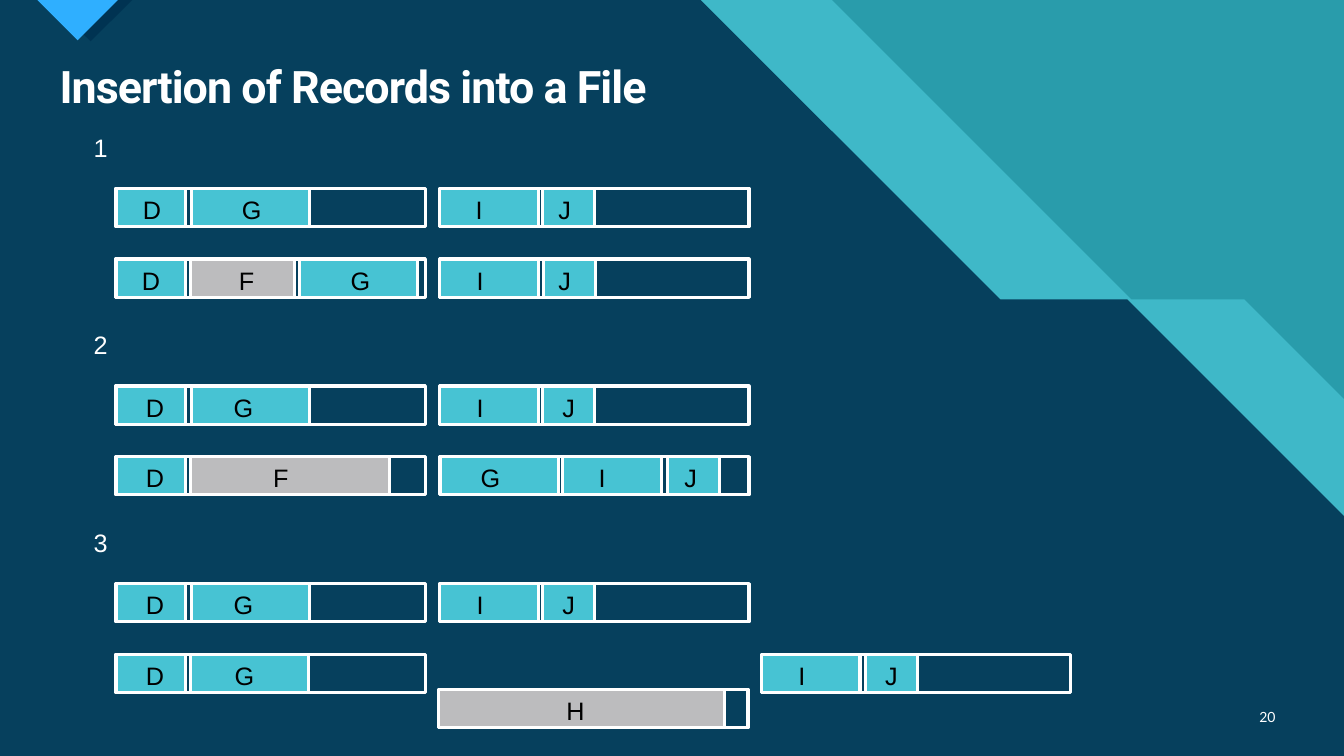
from dataclasses import dataclass
from typing import Any

from pptx import Presentation
from pptx.dml.color import RGBColor
from pptx.enum.shapes import MSO_SHAPE
from pptx.enum.text import MSO_ANCHOR, MSO_AUTO_SIZE, PP_ALIGN
from pptx.oxml.ns import qn
from pptx.util import Inches, Pt


@dataclass(frozen=True)
class Theme:
    teal: str = "299CAB"
    aqua: str = "47C3D3"
    navy: str = "003352"
    blue: str = "2FAFFF"
    grey: str = "BCBCBE"
    white: str = "FFFFFF"
    black: str = "000000"
    title_font: str = "Roboto"
    number_font: str = "Lato"
    body_font: str = "Arial"
    title_size: int = 32
    body_size: int = 18
    number_size: int = 10
    outline: float = 2.25


THEME = Theme()


@dataclass(frozen=True)
class Panel:
    points: list[tuple[float, float]]
    color: str
    opacity: int = 100


@dataclass(frozen=True)
class Record:
    letter: str
    left: float
    label_left: float
    width: float = 0  # 0 takes the usual width of the letter
    color: str = THEME.aqua


@dataclass(frozen=True)
class Block:
    left: float
    records: list[Record]
    drop: float = 0


@dataclass(frozen=True)
class Scenario:
    before: list[Block]
    after: list[Block]


# Measures in inches
WIDTHS = {"D": 0.69, "G": 1.17, "I": 0.98, "J": 0.52}
BLOCK_W, BLOCK_H, LABEL = 3.07, 0.38, 0.4
FIRST, SECOND, OVERFLOW, THIRD = 1.15, 4.36, 4.35, 7.55
CAPTION_LEFT, CAPTION_TOP = 0.83, 1.26
SCENARIO_STEP, BEFORE_DROP, AFTER_DROP = 1.96, 0.61, 1.31

PANELS = [
    Panel([(0, 0), (8.25, 0), (11.22, 2.97), (12.34, 2.97), (13.33, 3.96),
           (13.33, 7.5), (0, 7.5)], THEME.aqua, 74),
    Panel([(0, 0), (6.95, 0), (9.92, 2.97), (11.18, 2.97), (13.33, 5.12),
           (13.33, 7.5), (0, 7.5)], THEME.navy, 90),
    Panel([(0.48, 0), (1.31, 0), (0.9, 0.41)], THEME.navy),
    Panel([(0.37, 0), (1.17, 0), (0.77, 0.4)], THEME.blue),
]


def before_blocks(d: float, g: float, i: float, j: float) -> list[Block]:
    """Starting state of a scenario, given the left of each label."""
    return [Block(FIRST, [Record("D", FIRST, d), Record("G", 1.9, g)]),
            Block(SECOND, [Record("I", SECOND, i), Record("J", 5.38, j)])]


SCENARIOS = [
    Scenario(before_blocks(1.32, 2.3, 4.62, 5.44), [
        Block(FIRST, [Record("D", FIRST, 1.31),
                      Record("F", 1.89, 2.27, 1.03, THEME.grey),
                      Record("G", 2.97, 3.38)]),
        Block(SECOND, [Record("I", SECOND, 4.63), Record("J", 5.39, 5.44)]),
    ]),
    Scenario(before_blocks(1.35, 2.22, 4.63, 5.48), [
        Block(FIRST, [Record("D", FIRST, 1.35),
                      Record("F", 1.89, 2.61, 1.97, THEME.grey)]),
        Block(SECOND, [Record("G", 4.37, 4.67), Record("I", 5.58, 5.84),
                       Record("J", 6.62, 6.69)]),
    ]),
    Scenario(before_blocks(1.35, 2.22, 4.63, 5.48), [
        Block(FIRST, [Record("D", FIRST, 1.35), Record("G", 1.89, 2.23)]),
        Block(OVERFLOW, [Record("H", OVERFLOW, 5.52, 2.84, THEME.grey)], 0.35),
        Block(THIRD, [Record("I", THIRD, 7.82), Record("J", 8.58, 8.68)]),
    ]),
]


def rgb(color: str) -> RGBColor:
    return RGBColor.from_string(color)


def set_all(target: Any, values: dict[str, Any]) -> None:
    for name, value in values.items():
        setattr(target, name, value)


def write(tf: Any, text: str, size: int, font: str, color: str,
          align: PP_ALIGN = PP_ALIGN.LEFT, bold: bool = False) -> Any:
    p = tf.paragraphs[0]
    p.alignment = align
    r = p.add_run()
    r.text = text
    set_all(r.font, {"size": Pt(size), "name": font, "bold": bold})
    r.font.color.rgb = rgb(color)
    return r


def add_panel(s: Any, panel: Panel) -> None:
    points = [(Inches(x), Inches(y)) for x, y in panel.points]
    builder = s.shapes.build_freeform(*points[0])
    builder.add_line_segments(points[1:], close=True)
    sp = builder.convert_to_shape()
    sp.shadow.inherit = False
    sp.line.fill.background()
    sp.fill.solid()
    sp.fill.fore_color.rgb = rgb(panel.color)
    if panel.opacity < 100:
        clr = sp._element.spPr.find(f"{qn('a:solidFill')}/{qn('a:srgbClr')}")
        alpha = clr.makeelement(qn("a:alpha"), {"val": str(panel.opacity * 1000)})
        clr.append(alpha)


def add_box(s: Any, left: float, top: float, width: float, color: str = "") -> None:
    sp = s.shapes.add_shape(MSO_SHAPE.RECTANGLE, Inches(left), Inches(top),
                            Inches(width), Inches(BLOCK_H))
    sp.shadow.inherit = False
    if color:
        sp.fill.solid()
        sp.fill.fore_color.rgb = rgb(color)
    else:
        sp.fill.background()
    sp.line.color.rgb = rgb(THEME.white)
    sp.line.width = Pt(THEME.outline)


def add_label(s: Any, text: str, left: float, top: float, color: str) -> None:
    tf = s.shapes.add_textbox(Inches(left), Inches(top),
                              Inches(LABEL), Inches(LABEL)).text_frame
    set_all(tf, {"word_wrap": True, "auto_size": MSO_AUTO_SIZE.SHAPE_TO_FIT_TEXT})
    write(tf, text, THEME.body_size, THEME.body_font, color)


def add_block(s: Any, block: Block, row_top: float) -> None:
    top = row_top + block.drop
    add_box(s, block.left, top, BLOCK_W)
    for rec in block.records:
        add_box(s, rec.left, top, rec.width or WIDTHS[rec.letter], rec.color)
    for rec in block.records:
        add_label(s, rec.letter, rec.label_left, top + 0.01, THEME.black)


def main() -> None:
    prs = Presentation()
    set_all(prs, {"slide_width": Inches(13.33), "slide_height": Inches(7.5)})
    s = prs.slides.add_slide(prs.slide_layouts[5])

    # Background
    s.background.fill.solid()
    s.background.fill.fore_color.rgb = rgb(THEME.teal)
    for panel in PANELS:
        add_panel(s, panel)

    # Title, raised above the panels
    title = s.shapes.title
    title._element.getparent().append(title._element)
    set_all(title, {"left": Inches(0.49), "top": Inches(0.59),
                    "width": Inches(12.26), "height": Inches(0.59)})
    tf = title.text_frame
    set_all(tf, {"word_wrap": True, "vertical_anchor": MSO_ANCHOR.MIDDLE,
                 "auto_size": MSO_AUTO_SIZE.NONE})
    r = write(tf, "Insertion of Records into a File", THEME.title_size,
              THEME.title_font, THEME.white, bold=True)
    r.font._element.set("spc", "-70")
    tf.paragraphs[0].line_spacing = 0.9

    # Scenarios
    for n, scenario in enumerate(SCENARIOS):
        top = CAPTION_TOP + n * SCENARIO_STEP
        add_label(s, str(n + 1), CAPTION_LEFT, top, THEME.white)
        for block in scenario.before:
            add_block(s, block, top + BEFORE_DROP)
        for block in scenario.after:
            add_block(s, block, top + AFTER_DROP)

    # Slide number
    tf = s.shapes.add_textbox(Inches(12.31), Inches(6.91),
                              Inches(0.44), Inches(0.4)).text_frame
    set_all(tf, {"word_wrap": True, "vertical_anchor": MSO_ANCHOR.MIDDLE})
    write(tf, "20", THEME.number_size, THEME.number_font, THEME.white, PP_ALIGN.RIGHT)

    prs.save("out.pptx")


if __name__ == "__main__":
    main()
